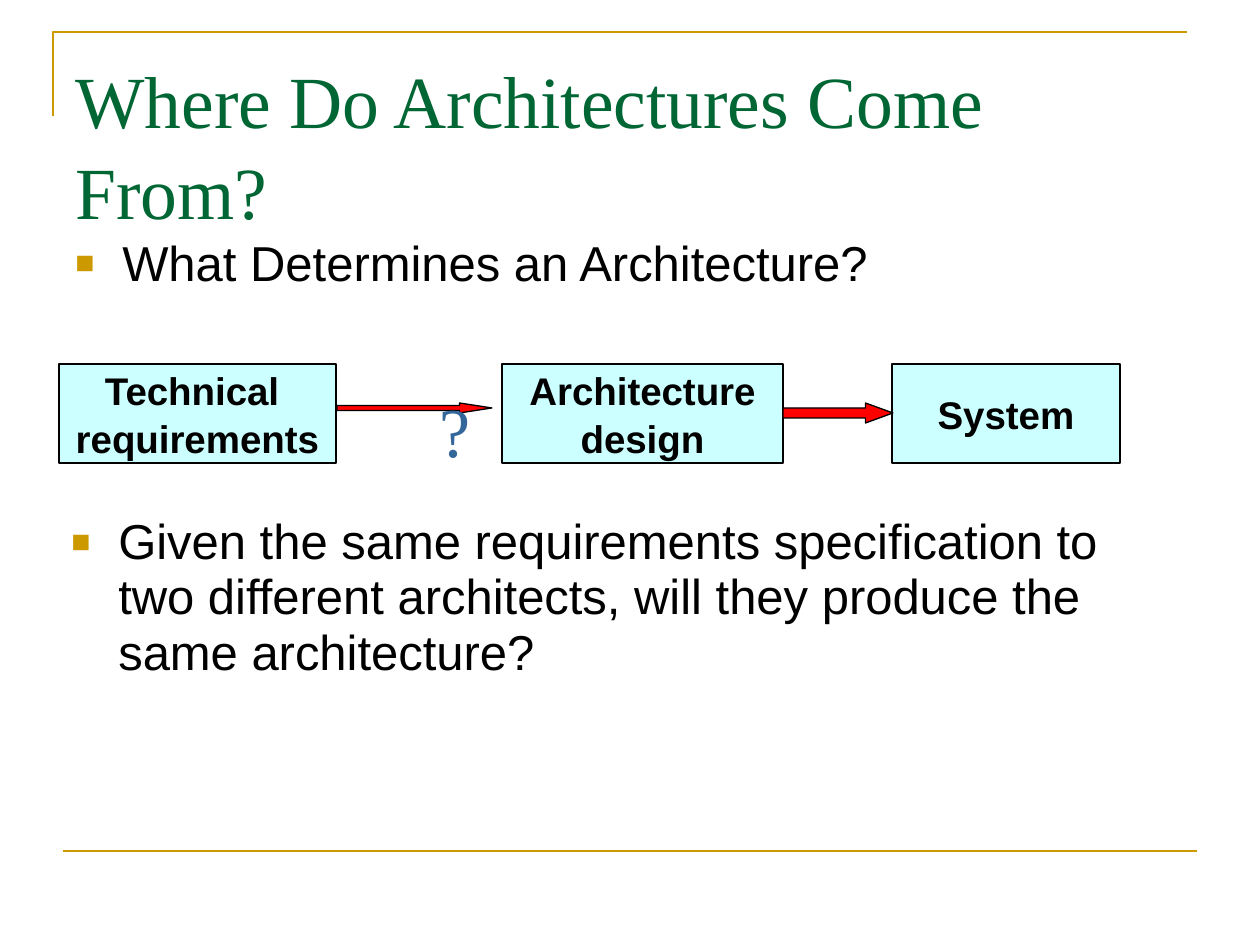
"""Build the slide on where architectures come from."""
from lxml.etree import SubElement
from pptx import Presentation
from pptx.dml.color import RGBColor
from pptx.enum.shapes import MSO_CONNECTOR, MSO_SHAPE
from pptx.enum.text import MSO_ANCHOR, PP_ALIGN
from pptx.oxml.ns import qn
from pptx.util import Pt

PX = 914400 / 126
GOLD = "CC9900"
BLACK = "000000"


def emu(*lengths):
    return [round(length * PX) for length in lengths]


def paint(color_format, hex_color):
    color_format.rgb = RGBColor.from_string(hex_color)


deck = Presentation()
deck.slide_width, deck.slide_height = emu(1260, 945)
slide = deck.slides.add_slide(deck.slide_layouts[6])
shapes = slide.shapes

outline = shapes.build_freeform(53, 116, scale=PX)
outline.add_line_segments([(53, 32), (1187, 32)], close=False)
corner = outline.convert_to_shape()
corner.shadow.inherit = False
corner.fill.background()
footer_rule = shapes.add_connector(MSO_CONNECTOR.STRAIGHT, *emu(63, 851, 1197, 851))
SubElement(footer_rule._element.spPr, qn("a:effectLst"))
for rule in (corner, footer_rule):
    paint(rule.line.color, GOLD)
    rule.line.width = Pt(1.5)

stages = [
    (59, 277, "Technical \nrequirements"),
    (502, 281, "Architecture\ndesign"),
    (892, 228, "System"),
]
for left, width, label in stages:
    stage = shapes.add_shape(MSO_SHAPE.RECTANGLE, *emu(left, 364, width, 99))
    stage.shadow.inherit = False
    stage.fill.solid()
    paint(stage.fill.fore_color, "CCFFFF")
    paint(stage.line.color, BLACK)
    stage.line.width = Pt(0.75)
    frame = stage.text_frame
    frame.text = label
    frame.word_wrap = False
    frame.vertical_anchor = MSO_ANCHOR.MIDDLE
    for paragraph in frame.paragraphs:
        paragraph.alignment = PP_ALIGN.CENTER
        paragraph.line_spacing = 1.04
        paragraph.font.name = "Arial"
        paragraph.font.size = Pt(22)
        paragraph.font.bold = True
        paint(paragraph.font.color, BLACK)

for left, top, width, height, head in [(337, 403, 155, 10, 3.24), (783, 403, 110, 20, 1.37)]:
    arrow = shapes.add_shape(MSO_SHAPE.RIGHT_ARROW, *emu(left, top, width, height))
    arrow.adjustments[1] = head
    arrow.shadow.inherit = False
    arrow.fill.solid()
    paint(arrow.fill.fore_color, "FF0000")
    paint(arrow.line.color, BLACK)
    arrow.line.width = Pt(0.75)

texts = [
    ((63, 45, 1134, 158), "Where Do Architectures Come From?",
     "Times New Roman", 42, "006633", 1.04, False),
    ((63, 224, 1134, 95), "What Determines an Architecture?",
     "Arial", 28, BLACK, 1.04, True),
    ((427, 378, 29, 81), "?", "Times New Roman", 40, "336699", 1.04, False),
    ((59, 509, 1134, 173),
     "Given the same requirements specification to two different architects, "
     "will they produce the same architecture?",
     "Arial", 28, BLACK, 0.94, True),
]
for place, words, face, size, color, spacing, bulleted in texts:
    frame = shapes.add_textbox(*emu(*place)).text_frame
    frame.word_wrap = words != "?"
    paragraph = frame.paragraphs[0]
    paragraph.text = words
    if bulleted:
        properties = paragraph._p.get_or_add_pPr()
        indent = emu(47)[0]
        properties.set("marL", str(indent))
        properties.set("indent", str(-indent))
        bullet_color = SubElement(properties, qn("a:buClr"))
        SubElement(bullet_color, qn("a:srgbClr"), val=GOLD)
        SubElement(properties, qn("a:buSzPct"), val="65000")
        SubElement(properties, qn("a:buFont"), typeface="Arial")
        SubElement(properties, qn("a:buChar"), char="■")
    paragraph.line_spacing = spacing
    paragraph.font.name = face
    paragraph.font.size = Pt(size)
    paint(paragraph.font.color, color)

deck.save("out.pptx")
